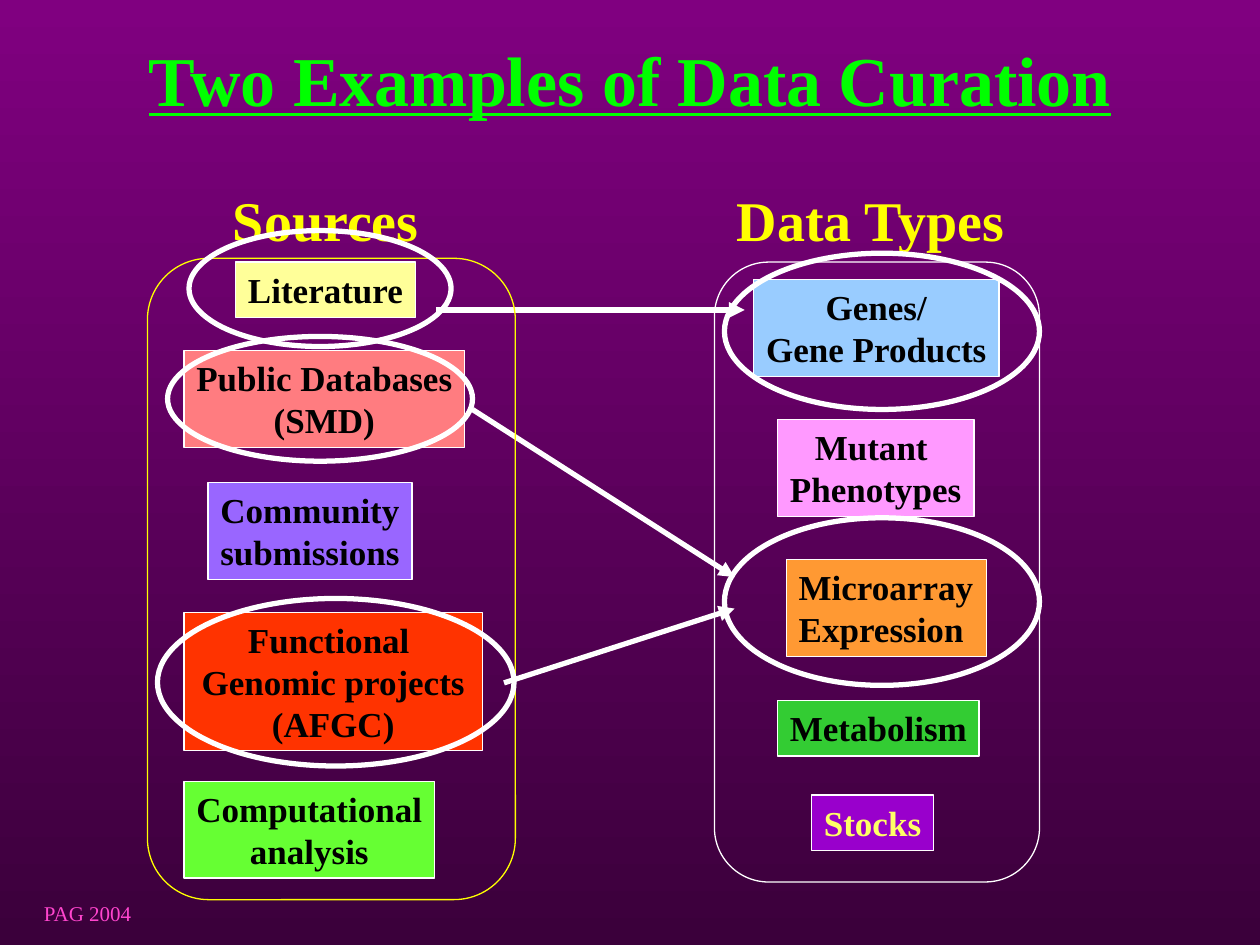
from dataclasses import dataclass

from lxml import etree
from pptx import Presentation
from pptx.dml.color import RGBColor
from pptx.enum.shapes import MSO_CONNECTOR, MSO_SHAPE
from pptx.enum.text import MSO_ANCHOR, MSO_AUTO_SIZE, PP_ALIGN
from pptx.oxml.ns import qn
from pptx.util import Inches, Pt

RECT, OVAL, ROUND = MSO_SHAPE.RECTANGLE, MSO_SHAPE.OVAL, MSO_SHAPE.ROUNDED_RECTANGLE
LEFT, CENTER = PP_ALIGN.LEFT, PP_ALIGN.CENTER
TOP, MIDDLE = MSO_ANCHOR.TOP, MSO_ANCHOR.MIDDLE
STRAIGHT = MSO_CONNECTOR.STRAIGHT
GROW, FIXED = MSO_AUTO_SIZE.SHAPE_TO_FIT_TEXT, MSO_AUTO_SIZE.NONE


@dataclass(frozen=True)
class Theme:
    font: str = "Times New Roman"
    title_size: float = 40
    head_size: float = 32
    card_size: float = 20
    foot_size: float = 12
    thin: float = 0.75
    thick: float = 3
    sky: str = "800080"
    ground: str = "3B003B"
    title: str = "00FF00"
    head: str = "FFFF00"
    foot: str = "FF45CE"
    white: str = "FFFFFF"
    black: str = "000000"
    pale: str = "FFFF66"


THEME = Theme()


@dataclass(frozen=True)
class Box:
    x: float
    y: float
    w: float
    h: float


@dataclass(frozen=True)
class Label:
    text: str
    box: Box
    size: float
    color: str
    bold: bool = True
    align: PP_ALIGN = LEFT


@dataclass(frozen=True)
class Card:
    text: str
    x: float
    y: float
    w: float
    fill: str
    align: PP_ALIGN = CENTER
    color: str = THEME.black

    @property
    def box(self) -> Box:
        lines = self.text.count("\n") + 1
        return Box(self.x, self.y, self.w, 0.11 + 0.33 * lines)


@dataclass(frozen=True)
class Column:
    head: Label
    cards: list[Card]
    frame: Box
    edge: str
    rings: list[Box]


@dataclass(frozen=True)
class Arrow:
    x1: float
    y1: float
    x2: float
    y2: float


TITLE = Label("Two Examples of Data Curation", Box(0.75, 0, 8.5, 1.25),
              THEME.title_size, THEME.title, align=CENTER)
FOOT = Label("PAG 2004", Box(0.25, 7.1, 0.91, 0.3), THEME.foot_size, THEME.foot, bold=False)

TYPES = Column(
    Label("Data Types", Box(5.75, 1.42, 2.36, 0.64), THEME.head_size, THEME.head),
    [
        Card("Genes/\nGene Products", 5.98, 2.22, 1.95, "99CCFF"),
        Card("Mutant \nPhenotypes", 6.17, 3.33, 1.56, "FF99FF"),
        Card("Microarray\nExpression", 6.24, 4.44, 1.59, "FF9933", LEFT),
        Card("Metabolism", 6.17, 5.56, 1.6, "33CC33", LEFT),
        Card("Stocks", 6.44, 6.31, 0.97, "9900CC", color=THEME.pale),
    ],
    Box(5.67, 2.08, 2.58, 4.92), THEME.white,
    [Box(5.75, 2.01, 2.5, 1.24), Box(5.75, 4.11, 2.5, 1.33)],
)
SOURCES = Column(
    Label("Sources", Box(1.75, 1.42, 1.68, 0.64), THEME.head_size, THEME.head),
    [
        Card("Literature", 1.87, 2.08, 1.43, "FFFF99", LEFT),
        Card("Public Databases\n(SMD)", 1.46, 2.78, 2.23, "FF7C80"),
        Card("Community\nsubmissions", 1.65, 3.83, 1.62, "9966FF"),
        Card("Functional \nGenomic projects\n(AFGC)", 1.46, 4.86, 2.37, "FF3300"),
        Card("Computational\nanalysis", 1.46, 6.2, 1.99, "66FF33"),
    ],
    Box(1.17, 2.05, 2.92, 5.09), THEME.head,
    [Box(1.33, 2.67, 2.42, 0.99), Box(1.25, 4.75, 2.83, 1.33), Box(1.5, 1.83, 2.08, 0.92)],
)
ARROWS = [
    Arrow(3.46, 2.46, 5.91, 2.46),
    Arrow(3.75, 3.25, 5.83, 4.58),
    Arrow(4, 5.42, 5.83, 4.83),
]


def rgb(color: str) -> RGBColor:
    return RGBColor.from_string(color)


def spot(box: Box) -> tuple:
    return Inches(box.x), Inches(box.y), Inches(box.w), Inches(box.h)


def write(shape, text: str, size: float, color: str, align: PP_ALIGN, bold: bool = True) -> None:
    frame = shape.text_frame
    frame.text = text
    frame.vertical_anchor = TOP
    for para in frame.paragraphs:
        para.alignment = align
        font = para.font
        font.name, font.size, font.bold = THEME.font, Pt(size), bold
        font.color.rgb = rgb(color)


def add_label(slide, label: Label):
    shape = slide.shapes.add_textbox(*spot(label.box))
    write(shape, label.text, label.size, label.color, label.align, label.bold)
    shape.text_frame.word_wrap = False
    shape.text_frame.auto_size = GROW
    return shape


def add_title(slide) -> None:
    frame = add_label(slide, TITLE).text_frame
    frame.word_wrap = True
    frame.auto_size = FIXED
    frame.vertical_anchor = MIDDLE
    frame.paragraphs[0].font.underline = True


def add_form(slide, kind: MSO_SHAPE, box: Box, edge: str, width: float, fill: str = ""):
    """Draw an outlined shape, hollow unless a fill is given."""
    shape = slide.shapes.add_shape(kind, *spot(box))
    shape.shadow.inherit = False
    shape.line.color.rgb = rgb(edge)
    shape.line.width = Pt(width)
    if fill:
        shape.fill.solid()
        shape.fill.fore_color.rgb = rgb(fill)
    else:
        shape.fill.background()
    return shape


def add_card(slide, card: Card) -> None:
    """Draw a card whose narrow side margins leave each line room to fit."""
    shape = add_form(slide, RECT, card.box, THEME.white, THEME.thin, card.fill)
    write(shape, card.text, THEME.card_size, card.color, card.align)
    frame = shape.text_frame
    frame.word_wrap = True
    frame.auto_size = FIXED
    frame.margin_left = Inches(0.1 if card.align == LEFT else 0.02)
    frame.margin_right = Inches(0.02)


def add_column(slide, column: Column) -> None:
    add_label(slide, column.head)
    for card in column.cards:
        add_card(slide, card)
    add_form(slide, ROUND, column.frame, column.edge, THEME.thin)
    for ring in column.rings:
        add_form(slide, OVAL, ring, THEME.white, THEME.thick)


def add_arrow(slide, arrow: Arrow) -> None:
    ends = (Inches(n) for n in (arrow.x1, arrow.y1, arrow.x2, arrow.y2))
    link = slide.shapes.add_connector(STRAIGHT, *ends)
    link.line.color.rgb = rgb(THEME.white)
    link.line.width = Pt(THEME.thick)
    etree.SubElement(link.line._get_or_add_ln(), qn("a:tailEnd"), type="triangle")
    etree.SubElement(link._element.spPr, qn("a:effectLst"))


def paint_back(slide) -> None:
    fill = slide.background.fill
    fill.gradient()
    fill.gradient_angle = 270
    for stop, color in zip(fill.gradient_stops, (THEME.sky, THEME.ground)):
        stop.color.rgb = rgb(color)


def main() -> None:
    deck = Presentation()
    deck.slide_width, deck.slide_height = Inches(10), Inches(7.5)
    slide = deck.slides.add_slide(deck.slide_layouts[6])
    paint_back(slide)
    add_label(slide, FOOT)
    add_title(slide)
    add_column(slide, TYPES)
    for arrow in ARROWS:
        add_arrow(slide, arrow)
    add_column(slide, SOURCES)
    deck.save("out.pptx")


if __name__ == "__main__":
    main()
